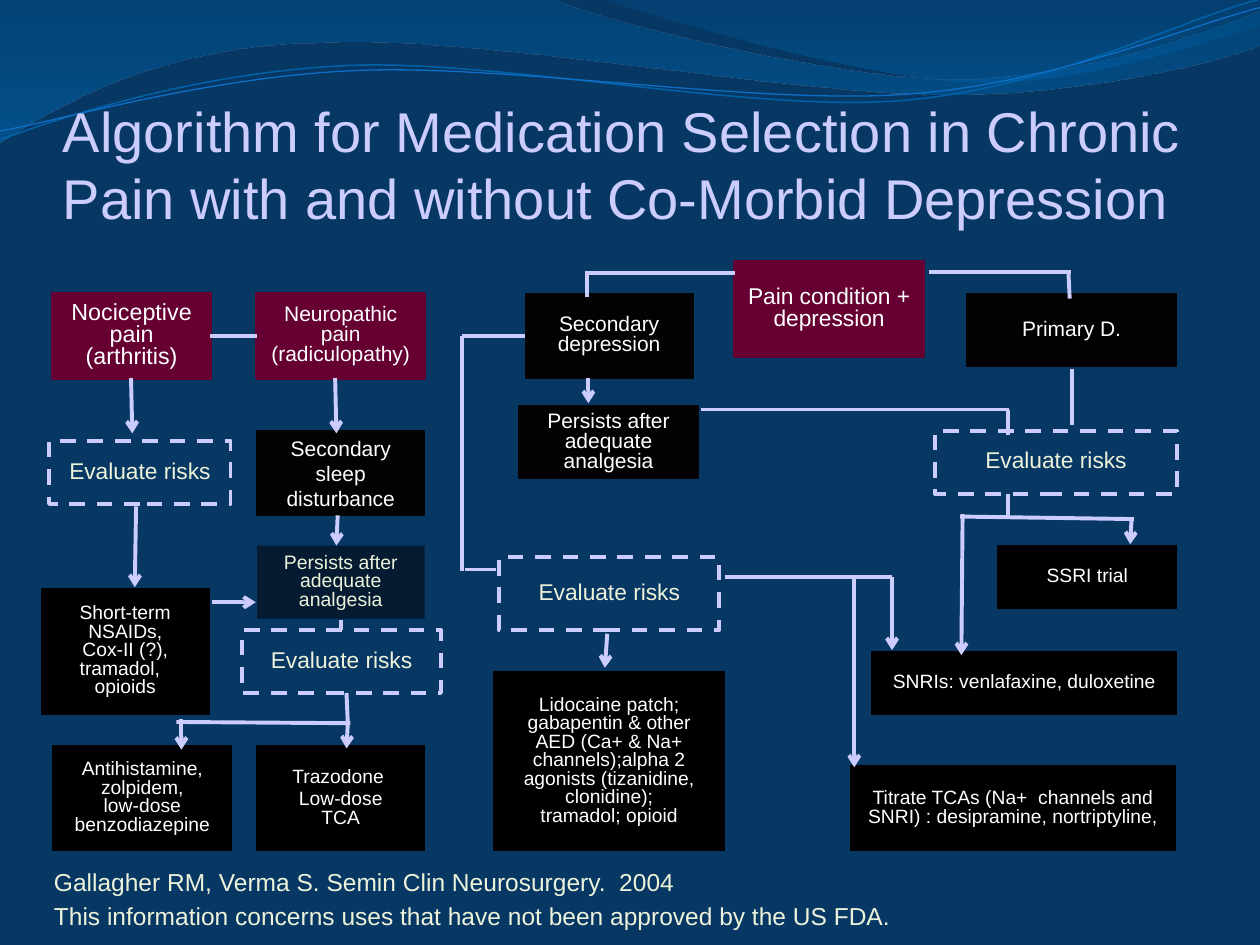
import copy
from typing import NamedTuple, Optional

import lxml.etree
import pptx
import pptx.dml.color
import pptx.enum.dml
import pptx.enum.shapes
import pptx.enum.text
import pptx.oxml.ns
import pptx.util

Inches = pptx.util.Inches
Pt = pptx.util.Pt
qn = pptx.oxml.ns.qn
COLORS = {
    "background": "073763", "lavender": "CCCCFF", "cream": "EDF3DB", "white": "FFFFFF",
    "maroon": "660033", "black": "000000", "soft black": "020202", "soft edge": "040404",
    "navy": "041B31", "deep wave": "00538E", "wave": "0063A9", "bright wave": "0066AE",
    "thin wave": "0F6FC6",
}


class Style(NamedTuple):
    fill: Optional[str]
    edge: Optional[str]
    width: float = 0.75
    text: str = "white"
    dashed: bool = False


class Box(NamedTuple):
    left: float
    top: float
    width: float
    height: float
    style: Style
    size: float
    text: str
    spacing: float = 0.8


class Link(NamedTuple):
    x1: float
    y1: float
    x2: float
    y2: float
    arrow: bool = False


class Wave(NamedTuple):
    start: tuple
    segments: list
    stops: tuple = ()
    edge: Optional[str] = None
    width: float = 0.75


CONDITION = Style("maroon", "maroon", 2.25)
RISK = Style(None, "lavender", 2.25, "cream", True)
DRUG = Style("black", "black")
STEP = Style("soft black", "soft edge")
PERSISTS = Style("navy", None, text="cream")

WAVES = [
    Wave((0, 0), [(4.4, 0), (4.76, 0.17, 6.64, 0.63, 7.58, 0.63),
                  (8.53, 0.63, 9.58, 0.26, 10, 0.09), (10, 0.36),
                  (9.83, 0.44, 8.7, 0.76, 7.46, 0.75), (6.22, 0.75, 3.82, 0.28, 2.57, 0.34),
                  (1.29, 0.35, 0.46, 0.83, 0, 1.13)],
         ((0, "deep wave", 45), (1, "bright wave", 55))),
    Wave((4.79, 0), [(5.09, 0.11, 6.82, 0.62, 7.69, 0.65),
                     (8.56, 0.69, 9.61, 0.32, 10, 0.21), (10, 0)],
         ((0, "deep wave", 30), (0.8, "wave", 45))),
    Wave((0, 1.11), [(0.48, 0.93, 1.58, 0.57, 2.77, 0.52), (3.95, 0.47, 5.93, 0.89, 7.13, 0.8),
                     (8.33, 0.71, 9.38, 0.15, 9.98, 0)], edge="wave", width=0.85),
    Wave((0, 1.04), [(0.47, 0.96, 1.64, 0.61, 2.83, 0.56), (4.03, 0.51, 5.97, 0.83, 7.17, 0.75),
                     (8.36, 0.67, 9.41, 0.21, 10, 0.06)], edge="thin wave"),
]
BOXES = [
    Box(0.42, 2.33, 1.25, 0.67, CONDITION, 13.3, "Nociceptive\vpain (arthritis)"),
    Box(0.39, 3.5, 1.44, 0.5, RISK, 13, "Evaluate risks"),
    Box(0.33, 4.67, 1.33, 1, DRUG, 11, "Short-term\vNSAIDs,\vCox-II (?),\vtramadol,   opioids"),
    Box(2.04, 2.33, 1.33, 0.67, CONDITION, 12, "Neuropathic\vpain (radiculopathy)"),
    Box(2.04, 3.42, 1.33, 0.67, STEP, 12, "Secondary sleep\vdisturbance", 1),
    Box(2.04, 4.33, 1.33, 0.58, PERSISTS, 11.1, "Persists after\vadequate\vanalgesia"),
    Box(1.92, 5, 1.58, 0.5, RISK, 13, "Evaluate risks"),
    Box(0.42, 5.92, 1.42, 0.83, DRUG, 11,
        "Antihistamine,\vzolpidem,\vlow-dose\vbenzodiazepine"),
    Box(2.04, 5.92, 1.33, 0.83, DRUG, 11, "Trazodone \nLow-dose\vTCA"),
    Box(4.17, 2.33, 1.33, 0.67, STEP, 12, "Secondary depression"),
    Box(4.12, 3.22, 1.42, 0.58, STEP, 12, "Persists after\vadequate\vanalgesia"),
    Box(3.96, 4.42, 1.75, 0.58, RISK, 13, "Evaluate risks"),
    Box(3.92, 5.33, 1.83, 1.42, DRUG, 11,
        "Lidocaine patch;\vgabapentin & other AED (Ca+ & Na+ channels);alpha 2 agonists "
        "(tizanidine, clonidine);\vtramadol; opioid"),
    Box(5.83, 2.08, 1.5, 0.75, CONDITION, 13, "Pain condition +\vdepression"),
    Box(7.67, 2.33, 1.67, 0.58, STEP, 12, "Primary D."),
    Box(7.42, 3.42, 1.92, 0.5, RISK, 13, "Evaluate risks"),
    Box(7.92, 4.33, 1.42, 0.5, DRUG, 11, "SSRI trial"),
    Box(6.92, 5.17, 2.42, 0.5, DRUG, 11, "SNRIs: venlafaxine, duloxetine"),
    Box(6.75, 6.08, 2.58, 0.67, DRUG, 11,
        "Titrate TCAs (Na+  channels and SNRI) : desipramine, nortriptyline,"),
]
LINKS = [
    Link(1.67, 2.67, 2.04, 2.67), Link(1.04, 3, 1.05, 3.44, True),
    Link(1.08, 4.02, 1.07, 4.66, True), Link(2.66, 3, 2.67, 3.44, True),
    Link(2.68, 4.09, 2.67, 4.33, True), Link(1.68, 4.78, 2.03, 4.78, True),
    Link(2.71, 4.92, 2.71, 5), Link(1.4, 5.73, 2.78, 5.74), Link(2.75, 5.5, 2.76, 5.73),
    Link(2.76, 5.75, 2.75, 5.94, True), Link(1.44, 5.71, 1.44, 5.95, True),
    Link(8.51, 2.93, 8.51, 3.37), Link(8, 3.92, 8, 4.12), Link(7.62, 4.1, 9, 4.12),
    Link(8.98, 4.13, 8.97, 4.32, True), Link(7.64, 4.08, 7.63, 5.2, True),
    Link(5.56, 3.25, 8.01, 3.25), Link(8, 3.25, 8, 3.45), Link(7.37, 2.16, 8.5, 2.16),
    Link(4.64, 2.17, 5.83, 2.17), Link(8.48, 2.17, 8.49, 2.37), Link(4.66, 2.16, 4.66, 2.36),
    Link(4.67, 3, 4.67, 3.2, True), Link(5.75, 4.58, 7.08, 4.58),
    Link(6.78, 4.59, 6.78, 6.09, True), Link(7.08, 4.58, 7.08, 5.16, True),
    Link(4.82, 5.03, 4.8, 5.3, True), Link(3.67, 2.67, 4.17, 2.67),
    Link(3.67, 2.67, 3.67, 4.53), Link(3.69, 4.52, 3.94, 4.52),
]


def rgb(name: str) -> pptx.dml.color.RGBColor:
    """Look up a named colour."""
    return pptx.dml.color.RGBColor.from_string(COLORS[name])


def write_text(shape, text: str, *, size: float, color: str, align: str = "LEFT",
               anchor: str = "TOP", spacing: float = 1) -> None:
    """Fill a shape with formatted paragraphs."""
    frame = shape.text_frame
    frame.word_wrap = True
    frame.vertical_anchor = getattr(pptx.enum.text.MSO_ANCHOR, anchor)
    frame.text = text
    for index, paragraph in enumerate(frame.paragraphs):
        paragraph.alignment = getattr(pptx.enum.text.PP_ALIGN, align)
        paragraph.line_spacing = spacing
        paragraph.space_before = Pt(size * 0.2 if index else 0)
        for run in paragraph.runs:
            run.font.name = "Arial"
            run.font.size = Pt(size)
            run.font.color.rgb = rgb(color)
        for line_break in paragraph._p.findall(qn("a:br")):
            line_break.insert(0, copy.deepcopy(paragraph.runs[0]._r.rPr))


def paint(shape, fill: Optional[str], edge: Optional[str], width: float) -> None:
    """Set the fill and outline of a shape and remove its shadow."""
    shape.shadow.inherit = False
    for target, color in ((shape.fill, fill), (shape.line.fill, edge)):
        if color:
            target.solid()
            target.fore_color.rgb = rgb(color)
        else:
            target.background()
    if edge:
        shape.line.width = Pt(width)


def build_outline(slide, wave: Wave):
    """Build a freeform whose six-number segments are cubic curves."""
    points = [(Inches(segment[i]), Inches(segment[i + 1]))
              for segment in wave.segments for i in range(0, len(segment), 2)]
    builder = slide.shapes.build_freeform(*map(Inches, wave.start), scale=1.0)
    builder.add_line_segments(points, close=bool(wave.stops))
    shape = builder.convert_to_shape()
    lines = iter(list(shape._element.iter(qn("a:lnTo"))))
    for segment in wave.segments:
        curve = next(lines)
        if len(segment) == 6:
            curve.tag = qn("a:cubicBezTo")
            for line in (next(lines), next(lines)):
                curve.append(line[0])
                line.getparent().remove(line)
    return shape


def draw_wave(slide, wave: Wave) -> None:
    """Draw a translucent gradient wave or a thin wave line."""
    shape = build_outline(slide, wave)
    paint(shape, None, wave.edge, wave.width)
    if wave.stops:
        shape.fill.gradient()
        shape.fill.gradient_angle = 270
        for stop, (position, color, _) in zip(shape.fill.gradient_stops, wave.stops):
            stop.position = position
            stop.color.rgb = rgb(color)
        for element, (_, _, opacity) in zip(shape._element.spPr.iter(qn("a:srgbClr")), wave.stops):
            lxml.etree.SubElement(element, qn("a:alpha"), val=str(opacity * 1000))


def draw_box(slide, box: Box) -> None:
    """Draw one step of the algorithm."""
    shape = slide.shapes.add_shape(pptx.enum.shapes.MSO_SHAPE.RECTANGLE, *map(Inches, box[:4]))
    paint(shape, box.style.fill, box.style.edge, box.style.width)
    if box.style.dashed:
        shape.line.dash_style = pptx.enum.dml.MSO_LINE.DASH
    write_text(shape, box.text, size=box.size, color=box.style.text, align="CENTER",
               anchor="MIDDLE", spacing=box.spacing)


def draw_link(slide, link: Link) -> None:
    """Draw a line or an arrow between steps."""
    connector = slide.shapes.add_connector(
        pptx.enum.shapes.MSO_CONNECTOR.STRAIGHT, *map(Inches, link[:4]))
    connector.line.color.rgb = rgb("lavender")
    connector.line.width = Pt(2.25)
    if link.arrow:
        lxml.etree.SubElement(connector.line._get_or_add_ln(), qn("a:tailEnd"), type="arrow")
    lxml.etree.SubElement(connector._element.spPr, qn("a:effectLst"))


def main() -> None:
    """Build the medication selection slide."""
    presentation = pptx.Presentation()
    presentation.slide_width, presentation.slide_height = Inches(10), Inches(7.5)
    slide = presentation.slides.add_slide(presentation.slide_layouts[6])
    slide.background.fill.solid()
    slide.background.fill.fore_color.rgb = rgb("background")
    for wave in WAVES:
        draw_wave(slide, wave)
    title = slide.shapes.add_textbox(Inches(0.5), Inches(0.58), Inches(9), Inches(1.25))
    title.text_frame.margin_left = title.text_frame.margin_right = Inches(0)
    title.text_frame.margin_bottom = Inches(0)
    write_text(title, "Algorithm for Medication Selection in Chronic Pain with and without "
               "Co-Morbid Depression", size=32, color="lavender", anchor="BOTTOM")
    source = slide.shapes.add_textbox(Inches(0.33), Inches(6.83), Inches(9), Inches(0.67))
    write_text(source, "Gallagher RM, Verma S. Semin Clin Neurosurgery.  2004\n"
               "This information concerns uses that have not been approved by the US FDA.",
               size=14, color="cream")
    for box in BOXES:
        draw_box(slide, box)
    for link in LINKS:
        draw_link(slide, link)
    presentation.save("out.pptx")


if __name__ == "__main__":
    main()
